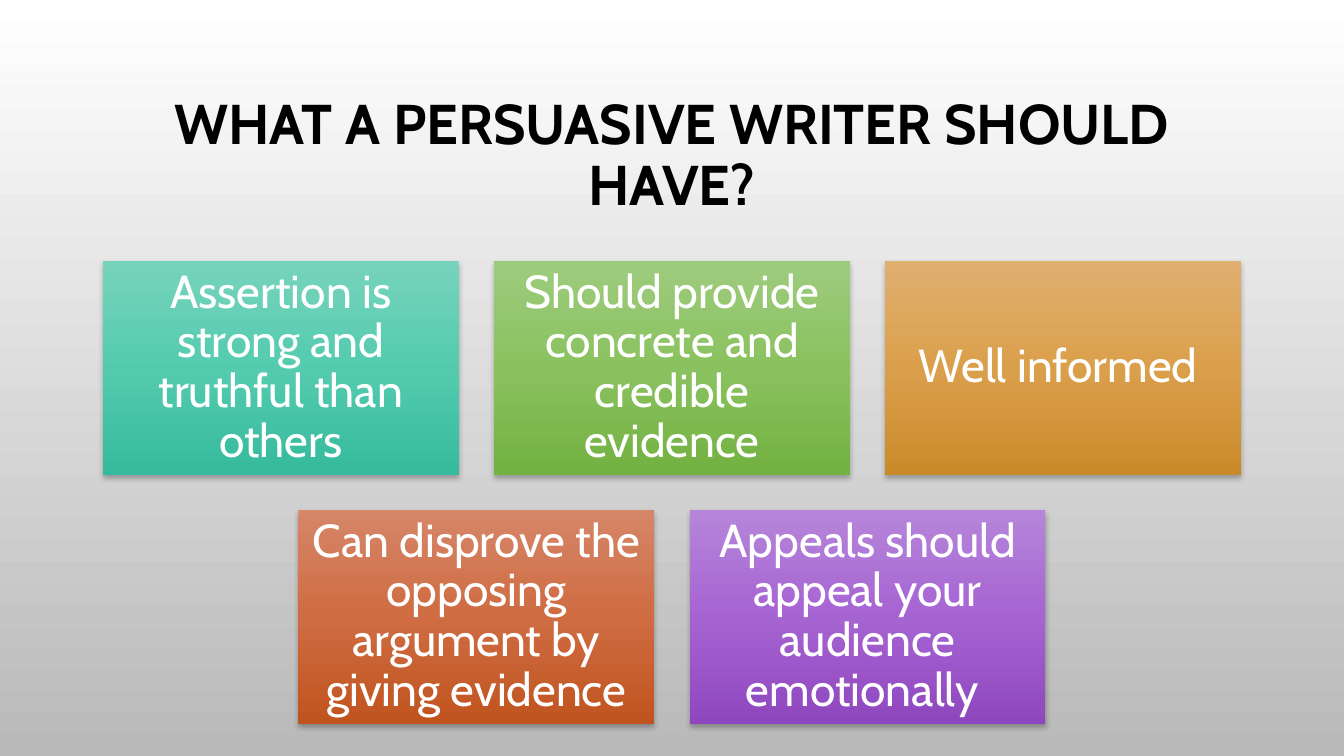
from lxml import etree
from pptx import Presentation
from pptx.dml.color import RGBColor
from pptx.enum.shapes import MSO_SHAPE
from pptx.enum.text import MSO_ANCHOR, PP_ALIGN
from pptx.oxml import parse_xml
from pptx.oxml.ns import nsdecls, qn
from pptx.util import Inches, Pt

RECT = MSO_SHAPE.RECTANGLE
MIDDLE = MSO_ANCHOR.MIDDLE
CENTER = PP_ALIGN.CENTER
WIDE, HIGH = 13.33, 7.5


def paint(fill, node, tones):
    """Fill with evenly spaced tones, running from top to bottom."""
    fill.gradient()
    fill.gradient_angle = 270
    stops = next(node.iter(qn("a:gsLst")))
    for stop in list(stops):
        stops.remove(stop)
    for i, tone in enumerate(tones):
        pos = 100000 * i // (len(tones) - 1)
        stop = etree.SubElement(stops, qn("a:gs"), pos=str(pos))
        etree.SubElement(stop, qn("a:srgbClr"), val=tone)


def write(shape, text, size, color, bold=False, inset=(0.1, 0.05)):
    frame = shape.text_frame
    frame.word_wrap = True
    frame.vertical_anchor = MIDDLE
    frame.margin_left = frame.margin_right = Inches(inset[0])
    frame.margin_top = frame.margin_bottom = Inches(inset[1])
    para = frame.paragraphs[0]
    para.alignment = CENTER
    para.line_spacing = 0.9
    run = para.add_run()
    run.text = text
    run.font.name = "Cabin"
    run.font.size = Pt(size)
    run.font.bold = bold
    run.font.color.rgb = RGBColor.from_string(color)


deck = Presentation()
deck.slide_width, deck.slide_height = Inches(WIDE), Inches(HIGH)
slide = deck.slides.add_slide(deck.slide_layouts[6])

# Background
paint(slide.background.fill, slide.element, ["FFFFFF", "B9B9B9"])

# Title
title = slide.shapes.add_textbox(Inches(1), Inches(0.68), Inches(11.33), Inches(1.75))
write(title, "WHAT A PERSUASIVE WRITER SHOULD HAVE?", 40, "000000", bold=True)

# Cards, each row centred on the slide
rows = [
    [
        ("Assertion is strong and truthful than others", ["77D4BC", "54CBAF", "36BA9C"]),
        ("Should provide concrete and credible evidence", ["9ECC7E", "8AC25F", "73B142"]),
        ("Well informed ", ["E0B071", "DA9F4B", "C98A29"]),
    ],
    [
        ("Can disprove the opposing argument by giving evidence", ["D68669", "CF6C42", "C0541F"]),
        ("Appeals should appeal your audience emotionally ", ["B685DA", "A664D2", "8F47BF"]),
    ],
]
card_w, card_h, gap, top = 3.53, 2.12, 0.35, 2.59
shade = (
    f'<a:outerShdw {nsdecls("a")} blurRad="{Pt(4)}" dist="{Pt(2)}" dir="5400000" rotWithShape="0">'
    '<a:srgbClr val="000000"><a:alpha val="28000"/></a:srgbClr></a:outerShdw>'
)
for r, row in enumerate(rows):
    left = (WIDE - len(row) * card_w - (len(row) - 1) * gap) / 2
    for c, (text, tones) in enumerate(row):
        x, y = left + c * (card_w + gap), top + r * (card_h + gap)
        card = slide.shapes.add_shape(RECT, Inches(x), Inches(y), Inches(card_w), Inches(card_h))
        paint(card.fill, card.element, tones)
        card.line.fill.background()
        card.shadow.inherit = False
        card.element.spPr.find(qn("a:effectLst")).append(parse_xml(shade))
        write(card, text, 33, "FFFFFF", inset=(0.14, 0.14))

deck.save("out.pptx")
